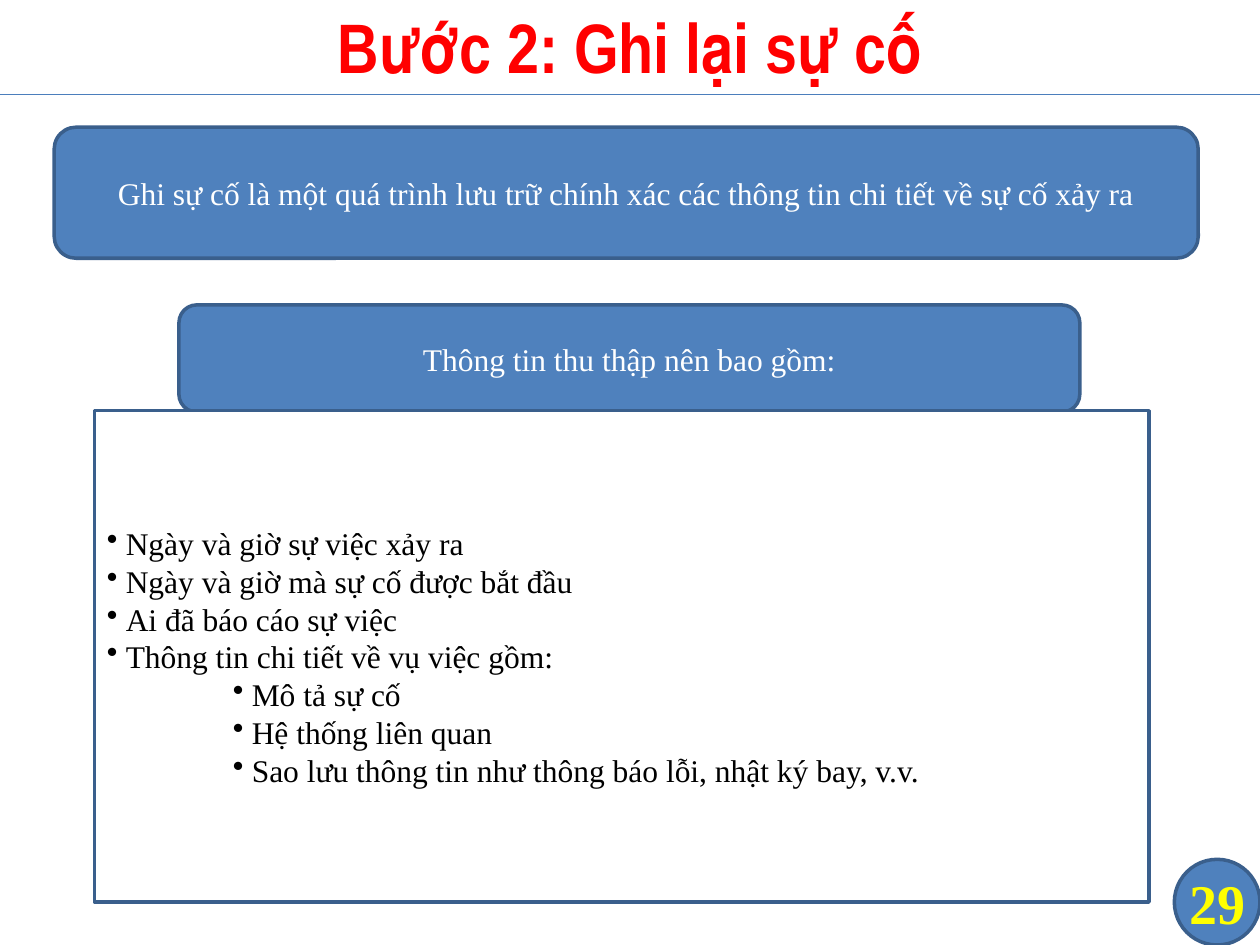
from lxml.etree import SubElement
from pptx import Presentation
from pptx.dml.color import RGBColor
from pptx.enum.shapes import MSO_CONNECTOR as Connector, MSO_SHAPE as Shape
from pptx.enum.text import MSO_ANCHOR as Anchor, PP_ALIGN as Align
from pptx.oxml.ns import qn
from pptx.util import Inches, Pt

COLORS = {
    "blue": "4F81BD", "outline": "3A5F8C", "rule": "4B7EBC",
    "red": "FF0000", "yellow": "FFFF00", "white": "FFFFFF", "black": "000000",
}
BODY_FONT = {"name": "Times New Roman", "size": Pt(18), "bold": False}
TITLE_FONT = {"name": "Arial Narrow", "size": Pt(40), "bold": True}
NUMBER_FONT = {"name": "Times New Roman", "size": Pt(32), "bold": True}
NO_MARGINS = dict.fromkeys(
    ("margin_left", "margin_right", "margin_top", "margin_bottom"), 0)

# Text and indent level
DETAILS = [
    ("Ngày và giờ sự việc xảy ra", 0),
    ("Ngày và giờ mà sự cố được bắt đầu", 0),
    ("Ai đã báo cáo sự việc", 0),
    ("Thông tin chi tiết về vụ việc gồm:", 0),
    ("Mô tả sự cố", 1),
    ("Hệ thống liên quan", 1),
    ("Sao lưu thông tin như thông báo lỗi, nhật ký bay, v.v.", 1),
]


def rgb(color):
    return RGBColor.from_string(COLORS[color])


def set_all(target, values):
    for name, value in values.items():
        setattr(target, name, value)


def write(paragraph, text, font, color, align=Align.CENTER):
    paragraph.alignment = align
    run = paragraph.add_run()
    run.text = text
    set_all(run.font, font)
    run.font.color.rgb = rgb(color)


def add_panel(slide, kind, box, fill="blue"):
    panel = slide.shapes.add_shape(kind, *map(Inches, box))
    panel.shadow.inherit = False
    panel.fill.solid()
    panel.fill.fore_color.rgb = rgb(fill)
    panel.line.color.rgb = rgb("outline")
    panel.line.width = Pt(2)
    set_all(panel.text_frame,
            {"word_wrap": True, "vertical_anchor": Anchor.MIDDLE})
    return panel


def add_title(slide, box, text):
    left, top, width, height = map(Inches, box)
    title = slide.shapes.title
    set_all(title, {"left": left, "top": top, "width": width, "height": height})
    title.text_frame.vertical_anchor = Anchor.MIDDLE
    write(title.text_frame.paragraphs[0], text, TITLE_FONT, "red")

    # Rule along the lower edge of the title
    bottom = top + height
    rule = slide.shapes.add_connector(
        Connector.STRAIGHT, left, bottom, left + width, bottom)
    rule.line.color.rgb = rgb("rule")
    rule.line.width = Pt(0.75)
    SubElement(rule._element.spPr, qn("a:effectLst"))


def add_banner(slide, box, text):
    banner = add_panel(slide, Shape.ROUNDED_RECTANGLE, box)
    write(banner.text_frame.paragraphs[0], text, BODY_FONT, "white")


def add_bullet(paragraph, level):
    hanging = Inches(0.15)
    properties = paragraph._p.get_or_add_pPr()
    properties.set("marL", str(Inches(level) + hanging))
    properties.set("indent", str(-hanging))
    SubElement(properties, qn("a:buChar"), char="•")


def add_details(slide, box, details):
    frame = add_panel(slide, Shape.RECTANGLE, box, "white").text_frame
    for index, (text, level) in enumerate(details):
        paragraph = frame.add_paragraph() if index else frame.paragraphs[0]
        write(paragraph, text, BODY_FONT, "black", Align.LEFT)
        add_bullet(paragraph, level)


def add_page_number(slide, box, number):
    frame = add_panel(slide, Shape.FLOWCHART_CONNECTOR, box).text_frame
    set_all(frame, {**NO_MARGINS, "word_wrap": False})
    write(frame.paragraphs[0], number, NUMBER_FONT, "yellow")


def main():
    deck = Presentation()
    set_all(deck, {"slide_width": Inches(10), "slide_height": Inches(7.5)})
    slide = deck.slides.add_slide(deck.slide_layouts[5])

    add_title(slide, (0, -0.03, 10, 0.78), "Bước 2: Ghi lại sự cố")
    add_banner(slide, (0.43, 1.01, 9.08, 1.04),
               "Ghi sự cố là một quá trình lưu trữ chính xác "
               "các thông tin chi tiết về sự cố xảy ra")
    add_banner(slide, (1.42, 2.42, 7.15, 0.85),
               "Thông tin thu thập nên bao gồm:")
    add_details(slide, (0.75, 3.26, 8.37, 3.9), DETAILS)
    add_page_number(slide, (9.32, 6.82, 0.68, 0.68), "29")

    deck.save("out.pptx")


if __name__ == "__main__":
    main()
